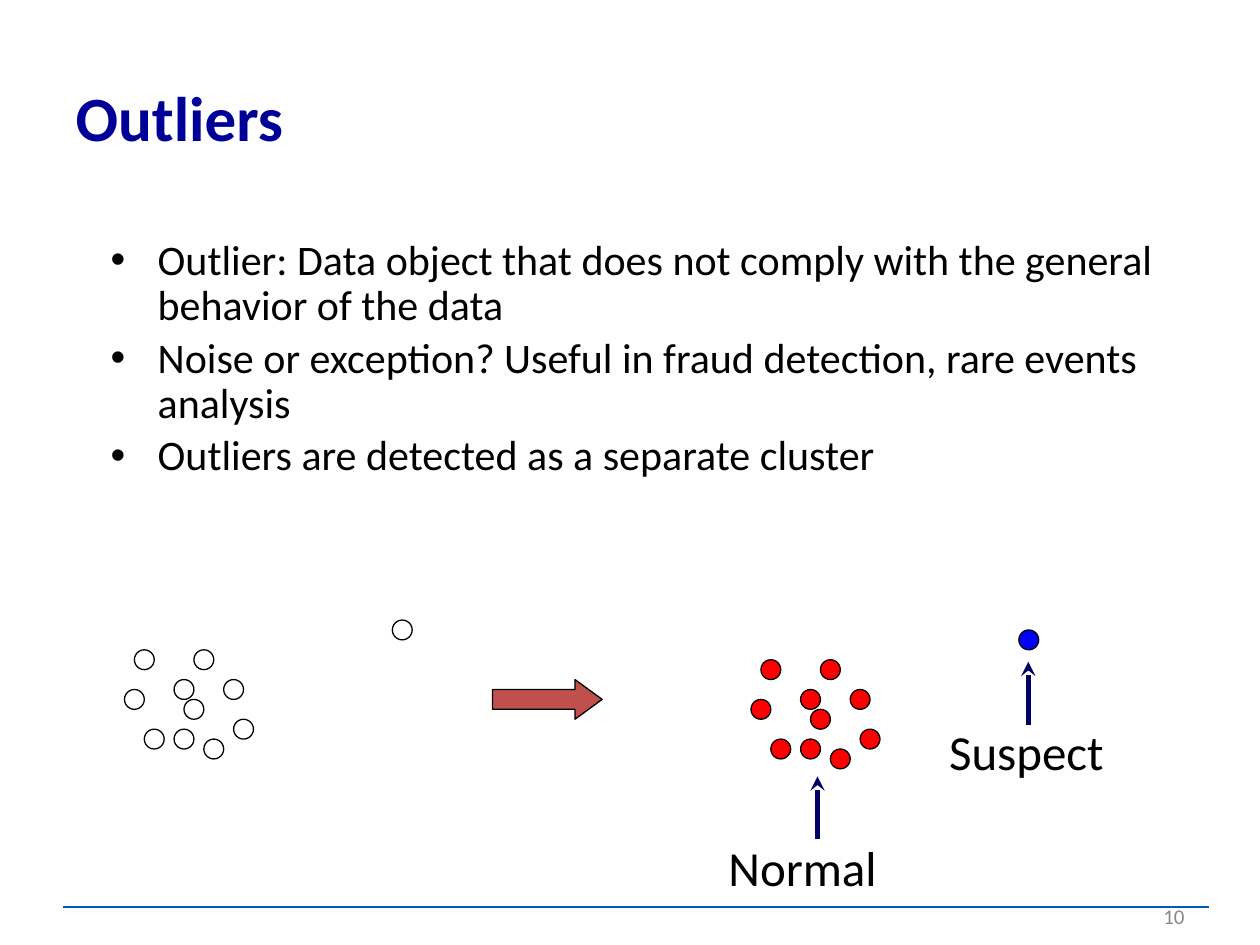
"""Build the Outliers slide: bullets above a before-and-after clustering diagram."""
from lxml.etree import SubElement
from pptx import Presentation
from pptx.dml.color import RGBColor
from pptx.enum.shapes import MSO_CONNECTOR as CONN, MSO_SHAPE as SHAPE
from pptx.enum.text import MSO_ANCHOR as ANCHOR, MSO_AUTO_SIZE as AUTO, PP_ALIGN as ALIGN
from pptx.oxml.ns import qn
from pptx.util import Cm, Pt

UNIT = 0.2
CLUSTER = [(1, 3), (7, 3), (2, 11), (8, 12), (11, 10), (5, 11), (0, 7), (10, 6), (5, 6), (6, 8)]
OUTLIER = (27, 0)
BULLETS = [
    "Outlier: Data object that does not comply with the general behavior of the data",
    "Noise or exception? Useful in fraud detection, rare events analysis",
    "Outliers are detected as a separate cluster",
]


def rgb(value):
    return RGBColor.from_string(value)


class Slide:
    font = "Calibri"
    black = "000000"
    navy = "000066"

    def __init__(self, prs):
        self.s = prs.slides.add_slide(prs.slide_layouts[5])

    def fill_text(self, tf, lines, color=black, bullet=False, para=None, **font):
        tf.word_wrap, tf.auto_size = True, AUTO.NONE
        for i, line in enumerate(lines):
            p = tf.paragraphs[0] if i == 0 else tf.add_paragraph()
            for name, value in (para or {}).items():
                setattr(p, name, value)
            p.space_before = Pt(4 if i else 0)
            if bullet:
                pPr = p._p.get_or_add_pPr()
                pPr.set("marL", str(Cm(0.95)))
                pPr.set("indent", str(-Cm(0.95)))
                SubElement(pPr, qn("a:buFont")).set("typeface", "Arial")
                SubElement(pPr, qn("a:buChar")).set("char", "•")
            r = p.add_run()
            r.text = line
            for name, value in {"name": self.font, **font}.items():
                setattr(r.font, name, value)
            r.font.color.rgb = rgb(color)

    def title(self, text, x, y, w, h):
        sp = self.s.shapes.title
        sp.left, sp.top, sp.width, sp.height = map(Cm, (x, y, w, h))
        sp.text_frame.vertical_anchor = ANCHOR.MIDDLE
        self.fill_text(sp.text_frame, [text], "000099", para={"alignment": ALIGN.LEFT},
                       size=Pt(36), bold=True)

    def text(self, lines, x, y, w, h, anchor=ANCHOR.TOP, **style):
        tf = self.s.shapes.add_textbox(*map(Cm, (x, y, w, h))).text_frame
        tf.vertical_anchor = anchor
        self.fill_text(tf, lines, **style)

    def shape(self, kind, x, y, w, h, fill=None):
        sp = self.s.shapes.add_shape(kind, *map(Cm, (x, y, w, h)))
        sp.shadow.inherit = False
        if fill:
            sp.fill.solid()
            sp.fill.fore_color.rgb = rgb(fill)
        else:
            sp.fill.background()
        sp.line.color.rgb = rgb(self.black)
        sp.line.width = Pt(0.75)
        return sp

    def line(self, x1, y1, x2, y2, color, width, arrow=False):
        c = self.s.shapes.add_connector(CONN.STRAIGHT, *map(Cm, (x1, y1, x2, y2)))
        c.line.color.rgb = rgb(color)
        c.line.width = Pt(width)
        spPr = c._element.spPr
        if arrow:
            SubElement(spPr.find(qn("a:ln")), qn("a:tailEnd")).set("type", "stealth")
        SubElement(spPr, qn("a:effectLst"))

    def dots(self, x, y, normal=None, suspect=None):
        for col, row in CLUSTER + [OUTLIER]:
            fill = suspect if (col, row) == OUTLIER else normal
            self.shape(SHAPE.OVAL, x + col * UNIT, y + row * UNIT, 2 * UNIT, 2 * UNIT, fill)

    def callout(self, text, x, y, text_x, text_y):
        self.line(x, y + 1.27, x, y, self.navy, 2.75, arrow=True)
        self.text([text], text_x - 2.5, text_y, 5, 1.4,
                  para={"alignment": ALIGN.CENTER}, size=Pt(28))


def main():
    prs = Presentation()
    prs.slide_width, prs.slide_height = Cm(25.4), Cm(19.05)
    s = Slide(prs)
    s.title("Outliers", 1.27, 0.76, 22.15, 3.18)
    s.line(1.27, 18.29, 24.38, 18.29, "005ABB", 1)
    s.text(BULLETS, 1.98, 4.7, 22.35, 5.41, bullet=True,
           para={"line_spacing": 0.9}, size=Pt(24))
    s.dots(2.51, 12.5)
    arrow = s.shape(SHAPE.RIGHT_ARROW, 9.93, 13.7, 2.21, 0.8, "C0504D")
    arrow.adjustments[1] = 0.685
    s.dots(15.14, 12.7, "FF0000", "0000FF")
    s.callout("Normal", 16.48, 15.65, 16.18, 16.76)
    s.callout("Suspect", 20.73, 13.34, 20.69, 14.42)
    s.text(["10"], 18.21, 18.24, 5.92, 0.46, ANCHOR.MIDDLE, color="898989",
           para={"alignment": ALIGN.RIGHT}, size=Pt(12))
    prs.save("out.pptx")


if __name__ == "__main__":
    main()
